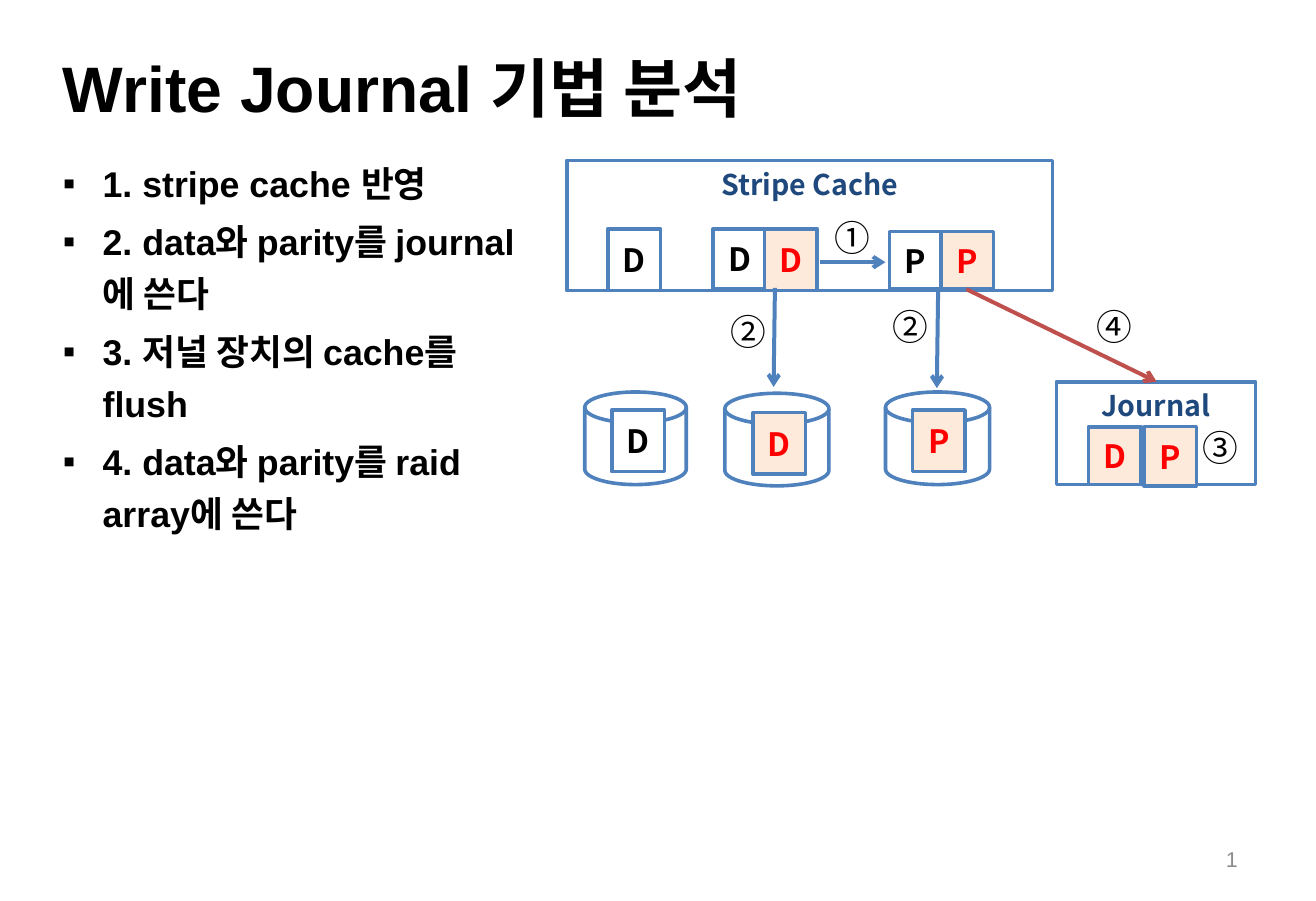
from pptx import Presentation
from pptx.dml.color import RGBColor
from pptx.enum.shapes import MSO_CONNECTOR, MSO_SHAPE
from pptx.enum.text import MSO_ANCHOR, MSO_AUTO_SIZE, PP_ALIGN
from pptx.oxml.ns import qn
from pptx.util import Inches, Pt
from lxml.etree import SubElement

BLACK = RGBColor(0x00, 0x00, 0x00)
WHITE = RGBColor(0xFF, 0xFF, 0xFF)
GRAY = RGBColor(0x8C, 0x8C, 0x8C)
BLUE = RGBColor(0x4F, 0x81, 0xBD)
NAVY = RGBColor(0x1F, 0x49, 0x7D)
RED = RGBColor(0xFF, 0x00, 0x00)
BRICK = RGBColor(0xC0, 0x50, 0x4D)
PEACH = RGBColor(0xFD, 0xEA, 0xDA)
LATIN = "Arial"
KOREAN = "Noto Sans CJK KR"
BLOCK_WIDTH = 0.41


class JournalSlide:
    def __init__(self, prs):
        self.slide = prs.slides.add_slide(prs.slide_layouts[5])
        self.shapes = self.slide.shapes

    def style(self, paragraph, size, color, name=KOREAN, bold=False, align=PP_ALIGN.CENTER):
        paragraph.alignment = align
        font = paragraph.font
        font.size, font.bold, font.name = Pt(size), bold, name
        font.color.rgb = color
        defaults = paragraph._p.pPr.find(qn("a:defRPr"))
        SubElement(defaults, qn("a:ea"), typeface=KOREAN)

    def title(self, text, left, top, width, height):
        title = self.shapes.title
        title.left, title.top = Inches(left), Inches(top)
        title.width, title.height = Inches(width), Inches(height)
        frame = title.text_frame
        frame.text = text
        frame.auto_size = MSO_AUTO_SIZE.NONE
        frame.vertical_anchor = MSO_ANCHOR.MIDDLE
        self.style(frame.paragraphs[0], 36, BLACK, LATIN, True, PP_ALIGN.LEFT)

    def text_frame(self, left, top, width, height, wrap=True):
        box = self.shapes.add_textbox(Inches(left), Inches(top), Inches(width), Inches(height))
        box.text_frame.word_wrap = wrap
        return box.text_frame

    def bullets(self, steps, *place):
        frame = self.text_frame(*place)
        for index, step in enumerate(steps):
            paragraph = frame.add_paragraph() if index else frame.paragraphs[0]
            paragraph.text = step
            paragraph.line_spacing = 1.2
            if index:
                paragraph.space_before = Pt(4)
            props = paragraph._p.get_or_add_pPr()
            props.set("marL", str(Inches(0.31)))
            props.set("indent", str(-Inches(0.31)))
            SubElement(props, qn("a:buFont"), typeface=LATIN)
            SubElement(props, qn("a:buChar"), char="▪")
            self.style(paragraph, 20, BLACK, LATIN, True, PP_ALIGN.LEFT)

    def page_number(self, *place):
        frame = self.text_frame(*place)
        frame.vertical_anchor = MSO_ANCHOR.MIDDLE
        paragraph = frame.paragraphs[0]
        field = SubElement(paragraph._p, qn("a:fld"), type="slidenum",
                           id="{B6F15528-21DE-4FAA-801E-634DDDAF4B2B}")
        SubElement(field, qn("a:rPr"), lang="en-US")
        SubElement(field, qn("a:t")).text = "1"
        self.style(paragraph, 12, GRAY, LATIN, align=PP_ALIGN.RIGHT)

    def shape(self, kind, left, top, width, height, fill=WHITE):
        shape = self.shapes.add_shape(kind, Inches(left), Inches(top), Inches(width), Inches(height))
        shape.shadow.inherit = False
        shape.fill.solid()
        shape.fill.fore_color.rgb = fill
        shape.line.color.rgb = BLUE
        shape.line.width = Pt(2)
        return shape

    def disk(self, left, top, width):
        self.shape(MSO_SHAPE.FLOWCHART_MAGNETIC_DISK, left, top, width, 0.72)

    def container(self, label, *place):
        frame = self.shape(MSO_SHAPE.RECTANGLE, *place).text_frame
        frame.text = label
        frame.vertical_anchor = MSO_ANCHOR.TOP
        self.style(frame.paragraphs[0], 16, NAVY, bold=True)

    def block(self, letter, left, top, height, is_new):
        fill, color = (PEACH, RED) if is_new else (WHITE, BLACK)
        frame = self.shape(MSO_SHAPE.RECTANGLE, left, top, BLOCK_WIDTH, height, fill).text_frame
        frame.text = letter
        frame.vertical_anchor = MSO_ANCHOR.MIDDLE
        self.style(frame.paragraphs[0], 18, color, bold=True)

    def arrow(self, start, end, color=BLUE):
        ends = [Inches(value) for value in (*start, *end)]
        arrow = self.shapes.add_connector(MSO_CONNECTOR.STRAIGHT, *ends)
        arrow.line.color.rgb = color
        arrow.line.width = Pt(2.25)
        SubElement(arrow.line._get_or_add_ln(), qn("a:tailEnd"), type="arrow")
        SubElement(arrow._element.spPr, qn("a:effectLst"))

    def step_mark(self, mark, left, top):
        frame = self.text_frame(left, top, 0.48, 0.44, wrap=False)
        frame.text = mark
        self.style(frame.paragraphs[0], 20, BLACK)


def main():
    prs = Presentation()
    prs.slide_width, prs.slide_height = Inches(10.24), Inches(7.01)
    page = JournalSlide(prs)

    # Title, steps and page number
    page.title("Write Journal 기법 분석", 0.39, 0.28, 9.45, 0.79)
    page.bullets([
        "1. stripe cache 반영",
        "2. data와 parity를 journal에 쓴다",
        "3. 저널 장치의 cache를 flush",
        "4. data와 parity를 raid array에 쓴다",
    ], 0.39, 1.14, 3.78, 5.12)
    page.page_number(7.34, 6.5, 2.39, 0.37)

    # Stripe cache, RAID disks and journal device
    page.container("Stripe Cache", 4.41, 1.25, 3.78, 1.01)
    for left, top, width in [(4.55, 3.05, 0.79), (5.64, 3.06, 0.81), (6.89, 3.05, 0.81)]:
        page.disk(left, top, width)
    page.container("Journal", 8.22, 2.97, 1.55, 0.8)

    # Data (D) and parity (P) blocks, old or new
    for letter, left, top, height, is_new in [
        ("D", 4.73, 1.78, 0.48, False),
        ("D", 5.55, 1.78, 0.47, False),
        ("P", 6.92, 1.8, 0.45, False),
        ("D", 5.95, 1.78, 0.48, True),
        ("P", 7.32, 1.8, 0.45, True),
        ("D", 4.76, 3.19, 0.48, False),
        ("D", 5.86, 3.21, 0.48, True),
        ("P", 7.1, 3.19, 0.48, True),
        ("D", 8.47, 3.32, 0.45, True),
        ("P", 8.9, 3.32, 0.46, True),
    ]:
        page.block(letter, left, top, height, is_new)

    # Data flow
    page.arrow((6.03, 2.24), (6.02, 3.01))
    page.arrow((7.3, 2.25), (7.29, 3.02))
    page.arrow((7.52, 2.25), (9, 2.97), BRICK)
    page.arrow((6.38, 2.04), (6.89, 2.04))

    # Order of the steps
    for mark, left, top in [("②", 5.58, 2.36), ("①", 6.39, 1.63), ("③", 9.26, 3.26),
                            ("④", 8.43, 2.32), ("②", 6.84, 2.32)]:
        page.step_mark(mark, left, top)

    prs.save("out.pptx")


if __name__ == "__main__":
    main()
